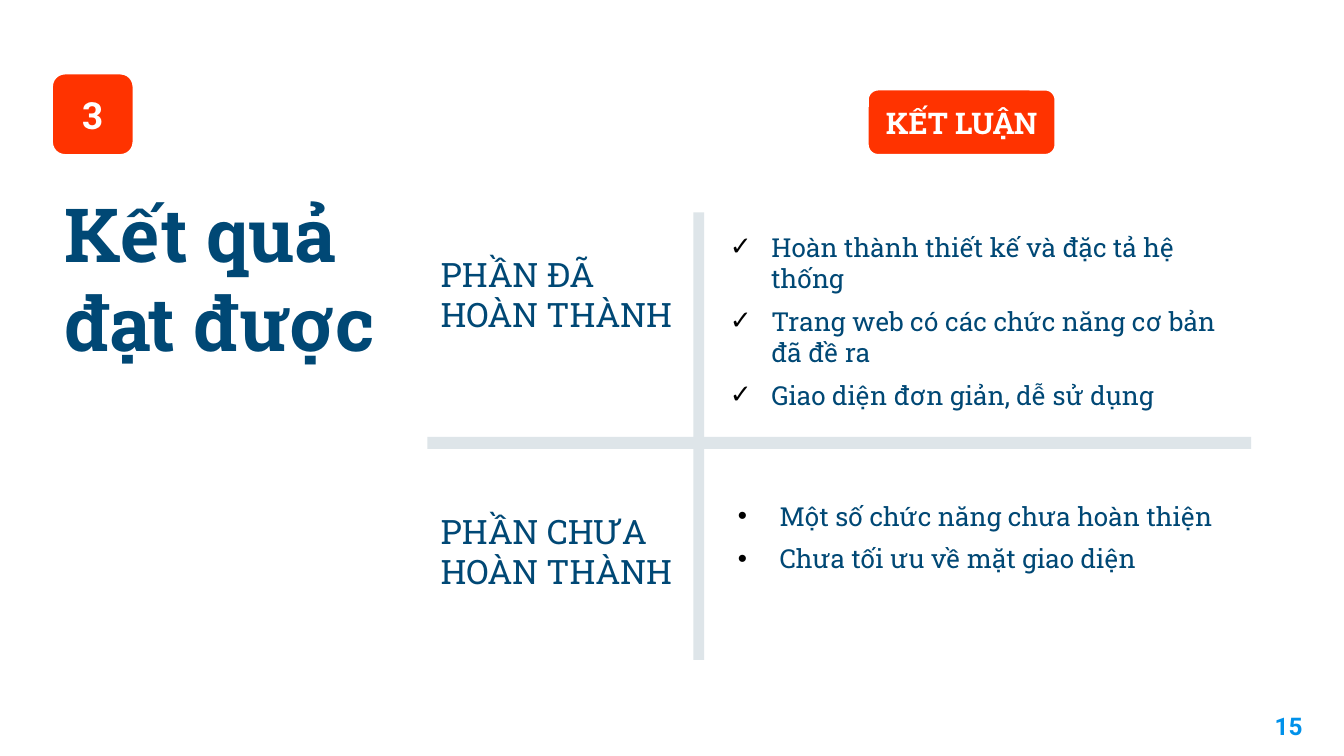
"""Build the Vietnamese results slide: finished and unfinished parts."""
from lxml.etree import SubElement
from pptx import Presentation
from pptx.dml.color import RGBColor
from pptx.enum.shapes import MSO_SHAPE as Shape
from pptx.enum.text import MSO_ANCHOR as Anchor, MSO_AUTO_SIZE as AutoSize, PP_ALIGN as Align
from pptx.oxml.ns import qn
from pptx.util import Inches, Pt

THEME = {
    "navy": "004875", "blue": "0091EA", "red": "FF3300", "rule": "DEE5E9",
    "white": "FFFFFF", "bullet": "000000",
    "slab": "Roboto Slab", "sans": "Roboto",
    "title": 40, "number": 20, "label": 18, "badge": 16, "list": 14, "page": 13,
}


def place(part, box):
    for side, length in zip(("left", "top", "width", "height"), box):
        setattr(part, side, Inches(length))


def write(part, lines, size, color="navy", font="slab", bold=False,
          align=Align.LEFT, anchor=Anchor.TOP, inset=(0.1, 0.05), before=0):
    frame = part.text_frame
    frame.text = "\n".join(lines)
    across, down = map(Inches, inset)
    frame_format = {
        "word_wrap": True, "auto_size": AutoSize.NONE, "vertical_anchor": anchor,
        "margin_left": across, "margin_right": across,
        "margin_top": down, "margin_bottom": down,
    }
    for name, value in frame_format.items():
        setattr(frame, name, value)
    for paragraph in frame.paragraphs:
        for name, value in {"alignment": align, "space_before": Pt(before)}.items():
            setattr(paragraph, name, value)
        run_font = paragraph.runs[0].font
        for name, value in {"name": THEME[font], "size": Pt(THEME[size]), "bold": bold}.items():
            setattr(run_font, name, value)
        run_font.color.rgb = RGBColor.from_string(THEME[color])


deck = Presentation()
deck.slide_width = Inches(10)
deck.slide_height = deck.slide_width * 9 // 16
slide = deck.slides.add_slide(deck.slide_layouts[3])
title, finished, unfinished = slide.placeholders

place(title, (0.38, 1.28, 2.6, 1.55))
write(title, ["Kết quả đạt được"], "title", bold=True, anchor=Anchor.BOTTOM, inset=(0.1, 0.1))

page = slide.shapes.add_textbox(*map(Inches, (9.19, 5.19, 0.6, 0.43)))
write(page, ["15"], "page", "blue", "sans", True, Align.RIGHT, inset=(0.1, 0.1))

for words, size, box in (
    ("3", "number", (0.38, 0.54, 0.62, 0.62)),
    ("KẾT LUẬN", "badge", (6.45, 0.66, 1.41, 0.5)),
):
    badge = slide.shapes.add_shape(Shape.ROUNDED_RECTANGLE, *map(Inches, box))
    badge.shadow.inherit = False
    badge.fill.solid()
    badge.fill.fore_color.rgb = RGBColor.from_string(THEME["red"])
    badge.line.color.rgb = RGBColor.from_string(THEME["white"])
    badge.line.width = Pt(2)
    write(badge, [words], size, "white", bold=True, align=Align.CENTER, anchor=Anchor.MIDDLE)

for box in ((5.16, 1.58, 0.08, 3.33), (3.18, 3.25, 6.13, 0.09)):
    divider = slide.shapes.add_shape(Shape.RECTANGLE, *map(Inches, box))
    divider.shadow.inherit = False
    divider.fill.solid()
    divider.fill.fore_color.rgb = RGBColor.from_string(THEME["rule"])
    divider.line.fill.background()

for words, top in (("PHẦN ĐÃ HOÀN THÀNH", 1.84), ("PHẦN CHƯA HOÀN THÀNH", 3.75)):
    label = slide.shapes.add_textbox(*map(Inches, (3.18, top, 1.99, 0.71)))
    write(label, [words], "label")

results = (
    (finished, (5.33, 1.67, 3.92, 1.45), "✓", [
        "Hoàn thành thiết kế và đặc tả hệ thống",
        "Trang web có các chức năng cơ bản đã đề ra",
        "Giao diện đơn giản, dễ sử dụng",
    ]),
    (unfinished, (5.39, 3.67, 3.92, 0.66), "•", [
        "Một số chức năng chưa hoàn thiện",
        "Chưa tối ưu về mặt giao diện",
    ]),
)
for items, box, mark, lines in results:
    place(items, box)
    write(items, lines, "list", before=6)
    for paragraph in items.text_frame.paragraphs:
        properties = paragraph._p.get_or_add_pPr()
        properties.set("marL", str(Inches(0.31)))
        properties.set("indent", str(-Inches(0.31)))
        bullet_color = SubElement(properties, qn("a:buClr"))
        SubElement(bullet_color, qn("a:srgbClr"), val=THEME["bullet"])
        SubElement(properties, qn("a:buChar"), char=mark)

deck.save("out.pptx")
